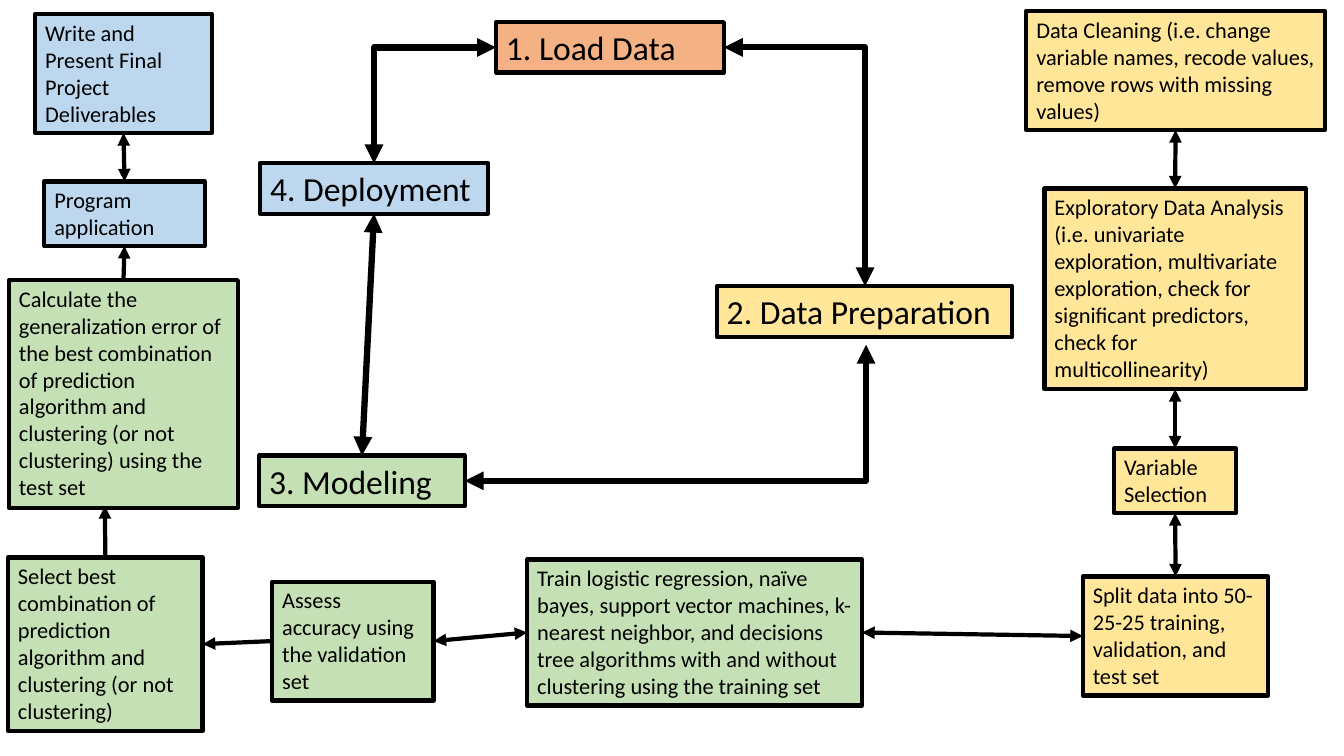
from pptx import Presentation
from pptx.dml.color import RGBColor
from pptx.enum.shapes import MSO_CONNECTOR as CONN
from pptx.enum.text import MSO_AUTO_SIZE as AUTO
from pptx.oxml.ns import qn
from pptx.util import Inches, Pt
from lxml import etree

COLORS = {
    "load": "F4B183",
    "prep": "FFE699",
    "model": "C5E0B4",
    "deploy": "BDD7EE",
    "ink": "000000",
}
INK = RGBColor.from_string(COLORS["ink"])
TOP, LEFT, BOTTOM, RIGHT = range(4)

prs = Presentation()
prs.slide_width = Inches(13.33)
prs.slide_height = Inches(7.5)
s = prs.slides.add_slide(prs.slide_layouts[6])


def add_box(text, x, y, w, h, fill, size=16):
    sp = s.shapes.add_textbox(Inches(x), Inches(y), Inches(w), Inches(h))
    sp.fill.solid()
    sp.fill.fore_color.rgb = RGBColor.from_string(COLORS[fill])
    sp.line.color.rgb = INK
    sp.line.width = Pt(3)
    tf = sp.text_frame
    tf.word_wrap = True
    tf.auto_size = AUTO.SHAPE_TO_FIT_TEXT
    r = tf.paragraphs[0].add_run()
    r.text = text
    r.font.name = "Calibri"
    r.font.size = Pt(size)
    r.font.color.rgb = INK
    return sp


def style_arrow(cxn, width, both):
    cxn.line.color.rgb = INK
    cxn.line.width = Pt(width)
    ln = cxn.line._get_or_add_ln()
    for end in ("a:headEnd", "a:tailEnd") if both else ("a:tailEnd",):
        etree.SubElement(ln, qn(end)).set("type", "triangle")
    etree.SubElement(cxn._element.spPr, qn("a:effectLst"))


stages = [
    ("load", "1. Load Data", 4.92, 0.22, 2.26, "load"),
    ("prepare", "2. Data Preparation", 7.11, 2.84, 2.93, "prep"),
    ("modeling", "3. Modeling", 2.57, 4.52, 2.04, "model"),
    ("deployment", "4. Deployment", 2.58, 1.62, 2.26, "deploy"),
]
steps = [
    ("clean", "Data Cleaning (i.e. change variable names, recode values, remove rows with missing values)",
     10.18, 0.11, 2.96, 1.18, "prep"),
    ("explore", "Exploratory Data Analysis (i.e. univariate exploration, multivariate exploration, "
     "check for significant predictors, check for multicollinearity)",
     10.36, 1.87, 2.59, 1.99, "prep"),
    ("select", "Variable Selection", 11.05, 4.45, 1.21, 0.64, "prep"),
    ("split", "Split data into 50-25-25 training, validation, and test set",
     10.74, 5.72, 1.84, 1.18, "prep"),
    ("train", "Train logistic regression, naïve bayes, support vector machines, k-nearest neighbor, "
     "and decisions tree algorithms with and without clustering using the training set",
     5.23, 5.55, 3.32, 1.45, "model"),
    ("assess", "Assess accuracy using the validation set", 2.7, 5.77, 1.6, 1.18, "model"),
    ("best", "Select best combination of prediction algorithm and clustering (or not clustering)",
     0.08, 5.53, 1.93, 1.72, "model"),
    ("error", "Calculate the generalization error of the best combination of prediction algorithm "
     "and clustering (or not clustering) using the test set",
     0.09, 2.78, 2.27, 2.26, "model"),
    ("program", "Program application", 0.44, 1.8, 1.59, 0.64, "deploy"),
    ("write", "Write and Present Final Project Deliverables", 0.35, 0.14, 1.75, 1.18, "deploy"),
]
boxes = {}
for name, text, x, y, w, fill in stages:
    boxes[name] = add_box(text, x, y, w, 0.5, fill, size=24)
for name, text, x, y, w, h, fill in steps:
    boxes[name] = add_box(text, x, y, w, h, fill)

links = [
    ("modeling", TOP, "deployment", BOTTOM, 4.5, True),
    ("clean", BOTTOM, "explore", TOP, 3, True),
    ("explore", BOTTOM, "select", TOP, 3, True),
    ("select", BOTTOM, "split", TOP, 3, True),
    ("split", LEFT, "train", RIGHT, 3, True),
    ("train", LEFT, "assess", RIGHT, 3, True),
    ("assess", LEFT, "best", RIGHT, 3, False),
    ("error", TOP, "program", BOTTOM, 3, False),
    ("program", TOP, "write", BOTTOM, 3, True),
]
for start, start_side, stop, stop_side, width, both in links:
    cxn = s.shapes.add_connector(CONN.STRAIGHT, 0, 0, 0, 0)
    cxn.begin_connect(boxes[start], start_side)
    cxn.end_connect(boxes[stop], stop_side)
    style_arrow(cxn, width, both)

cxn = s.shapes.add_connector(CONN.STRAIGHT, Inches(1.04), Inches(5.53), Inches(1.04), Inches(5.02))
cxn.begin_connect(boxes["best"], TOP)
style_arrow(cxn, 3, False)

elbows = [
    (7.18, 0.47, 8.58, 2.84),
    (4.61, 4.77, 8.59, 3.42),
    (4.92, 0.47, 3.71, 1.62),
]
for points in elbows:
    cxn = s.shapes.add_connector(CONN.ELBOW, *[Inches(v) for v in points])
    cxn._element.spPr.find(qn("a:prstGeom")).set("prst", "bentConnector2")
    style_arrow(cxn, 4.5, True)

prs.save("out.pptx")
